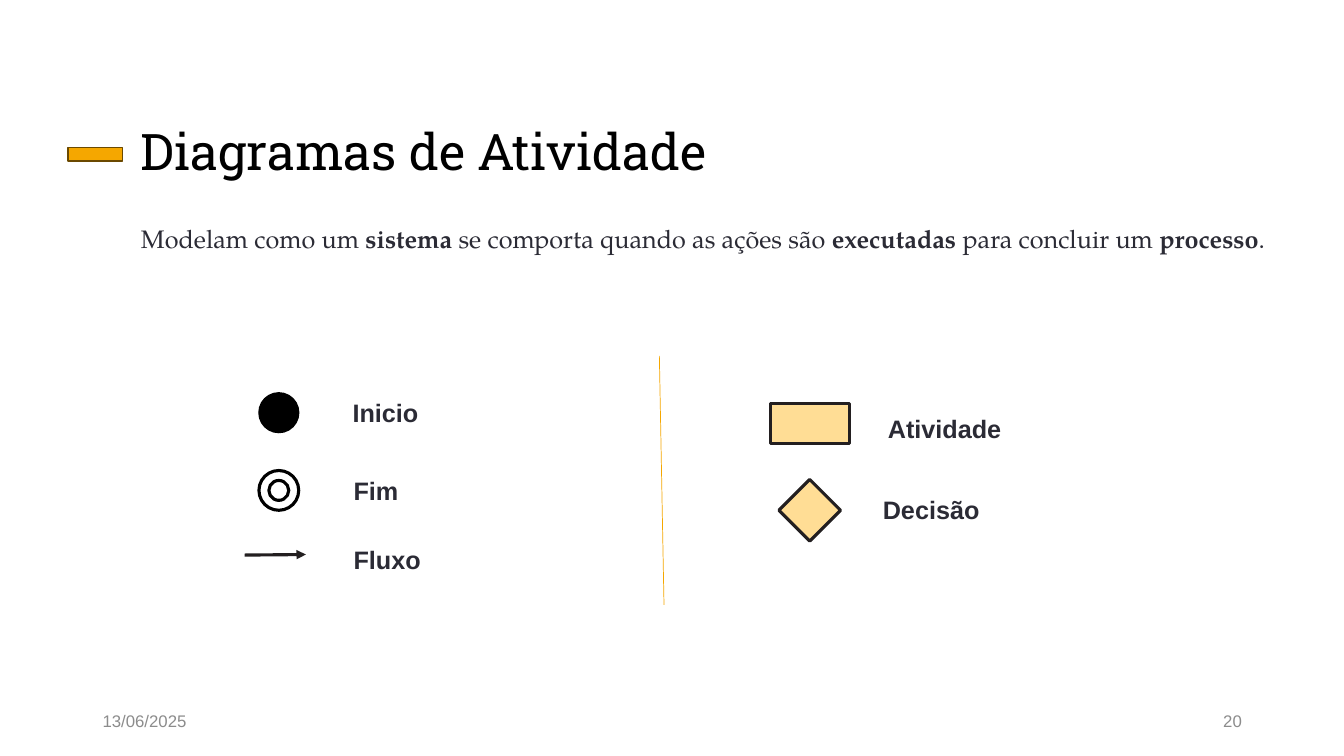
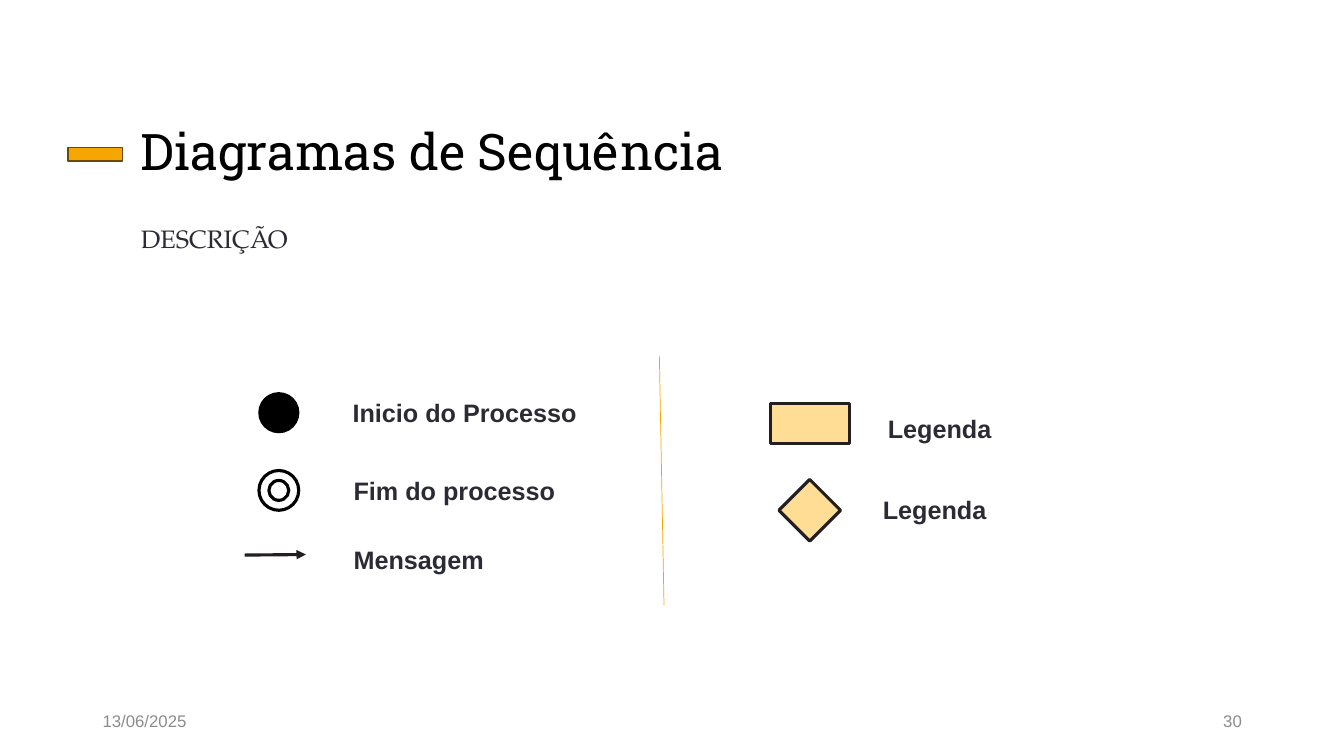
from pptx import Presentation
from pptx.dml.color import RGBColor
from pptx.enum import shapes, text
from pptx.oxml import parse_xml
from pptx.oxml.ns import nsdecls, qn
from pptx.util import Pt

HUES = {
    "title": "000000", "body": "2B2B35", "foot": "8C8C8C",
    "gold": "F5A700", "brown": "6B4900", "cream": "FFDD95",
    "ink": "231F20", "black": "000000", "white": "FFFFFF",
}
SANS, SLAB, SERIF = "Arial", "Roboto Slab", "TeX Gyre Pagella"
KIND = shapes.MSO_SHAPE

# Label places: left column, then right column
SPOTS = [(244.8, 269.3), (245.5, 324.7), (245.5, 373.7),
         (627.1, 280.8), (623.5, 338.4)]


def hue(name):
    return RGBColor.from_string(HUES[name])


def write(slide, words, box, size=18, font=SANS, color="body", bold=False,
          align="LEFT", anchor="MIDDLE", space=None):
    """Add a text box; parts between asterisks switch the bold setting."""
    frame = slide.shapes.add_textbox(*map(Pt, box)).text_frame
    frame.word_wrap = True
    frame.vertical_anchor = text.MSO_ANCHOR[anchor]
    para = frame.paragraphs[0]
    para.alignment = text.PP_ALIGN[align]
    if space:
        para.line_spacing = space
    for i, part in enumerate(words.split("*")):
        run = para.add_run()
        run.text = part
        run.font.name, run.font.size = font, Pt(size)
        run.font.bold = bold != (i % 2 == 1)
        run.font.color.rgb = hue(color)


def draw(slide, kind, box, fill, edge, width):
    shape = slide.shapes.add_shape(kind, *map(Pt, box))
    shape.shadow.inherit = False
    shape.fill.solid()
    shape.fill.fore_color.rgb = hue(fill)
    shape.line.color.rgb = hue(edge)
    shape.line.width = Pt(width)


def rule(slide, ends, color, width, arrow=False):
    line = slide.shapes.add_connector(shapes.MSO_CONNECTOR.STRAIGHT,
                                      *map(Pt, ends))
    line.line.color.rgb = hue(color)
    line.line.width = Pt(width)
    props = line._element.spPr
    if arrow:
        props.find(qn("a:ln")).append(
            parse_xml(f'<a:tailEnd {nsdecls("a")} type="triangle"/>'))
    props.append(parse_xml(f'<a:effectLst {nsdecls("a")}/>'))


def frame(slide, title, intro, page):
    # Footer
    write(slide, "13/06/2025", (66.2, 500.4, 216, 28.8), size=12, color="foot")
    write(slide, page, (678.2, 500.4, 216, 28.8), size=12, color="foot",
          align="RIGHT")
    # Title with its gold bar
    write(slide, title, (93.6, 63.4, 800.6, 92.9), size=36, font=SLAB,
          color="title", space=0.9)
    draw(slide, KIND.RECTANGLE, (48.6, 105.5, 39, 9.5), "gold", "brown", 1)
    # Description
    write(slide, intro, (93.6, 156.2, 822.2, 48.2), font=SERIF, anchor="TOP")


def legend(slide, names):
    # Left symbols: start, end, flow
    draw(slide, KIND.OVAL, (185, 280.6, 28.4, 28.4), "black", "black", 1)
    draw(slide, KIND.DONUT, (185, 336.1, 28.4, 28.4), "white", "black", 2.25)
    rule(slide, (174.7, 396.5, 218.5, 396.1), "ink", 2.25, arrow=True)
    # Right symbols: activity, decision
    draw(slide, KIND.RECTANGLE, (550.6, 288, 56.4, 28.8), "cream", "ink", 2.25)
    draw(slide, KIND.DIAMOND, (556.4, 342.5, 44, 44), "cream", "ink", 2.25)
    # Labels and divider
    for name, spot in zip(names, SPOTS):
        write(slide, name, (*spot, 200.2, 51.1), bold=True)
    rule(slide, (471, 254.2, 474.3, 432), "gold", 0.5)


DECK = [
    ("Diagramas de Atividade",
     "Modelam como um *sistema *se comporta quando as ações são "
     "*executadas *para concluir um *processo*.", "20",
     ["Inicio", "Fim", "Fluxo", "Atividade", "Decisão"]),
    ("Diagramas de Sequência", "DESCRIÇÃO", "30",
     ["Inicio do Processo", "Fim do processo", "Mensagem",
      "Legenda", "Legenda"]),
]


def main():
    deck = Presentation()
    deck.slide_width, deck.slide_height = Pt(960), Pt(540)
    for title, intro, page, names in DECK:
        slide = deck.slides.add_slide(deck.slide_layouts[6])
        frame(slide, title, intro, page)
        legend(slide, names)
    deck.save("out.pptx")


if __name__ == "__main__":
    main()
